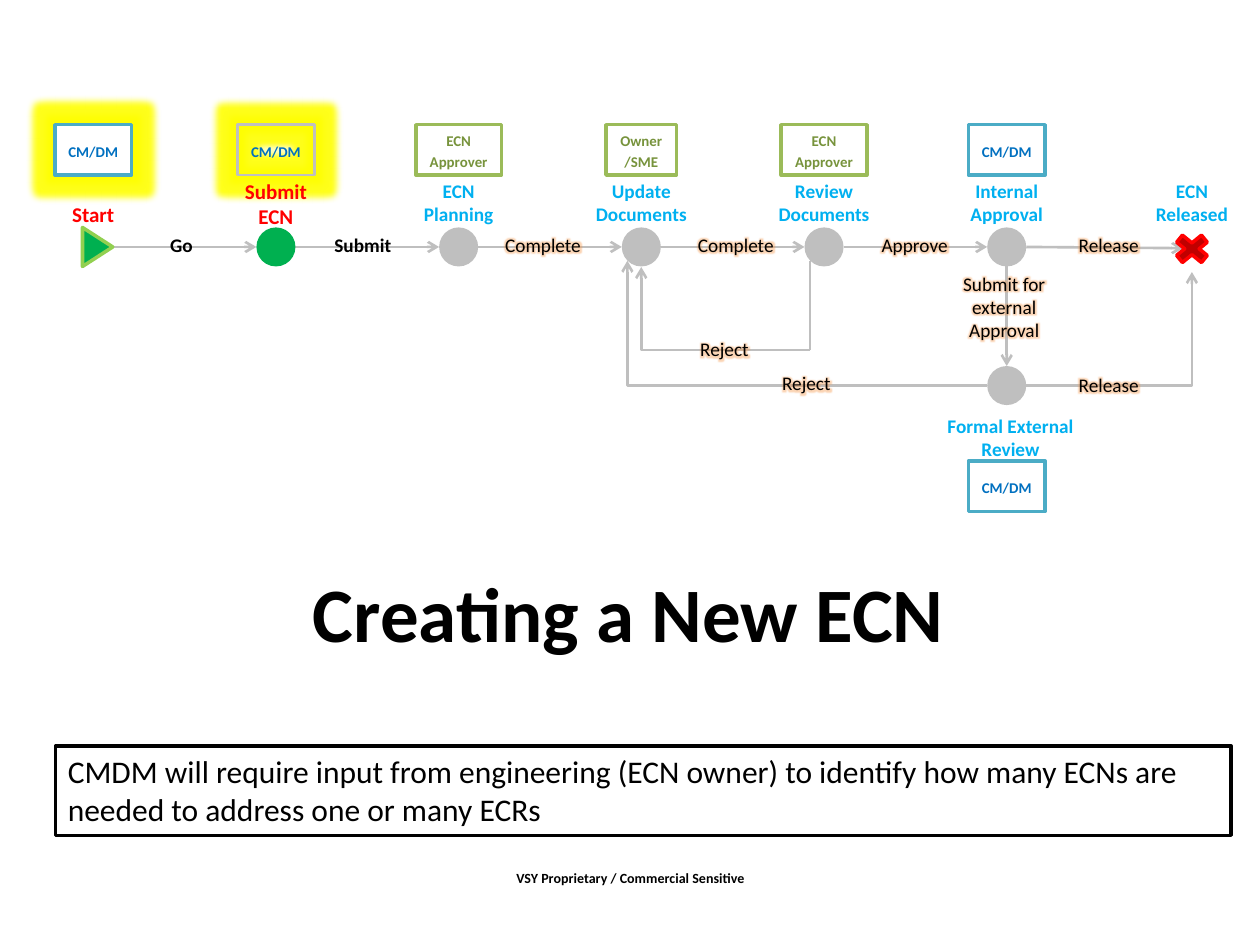
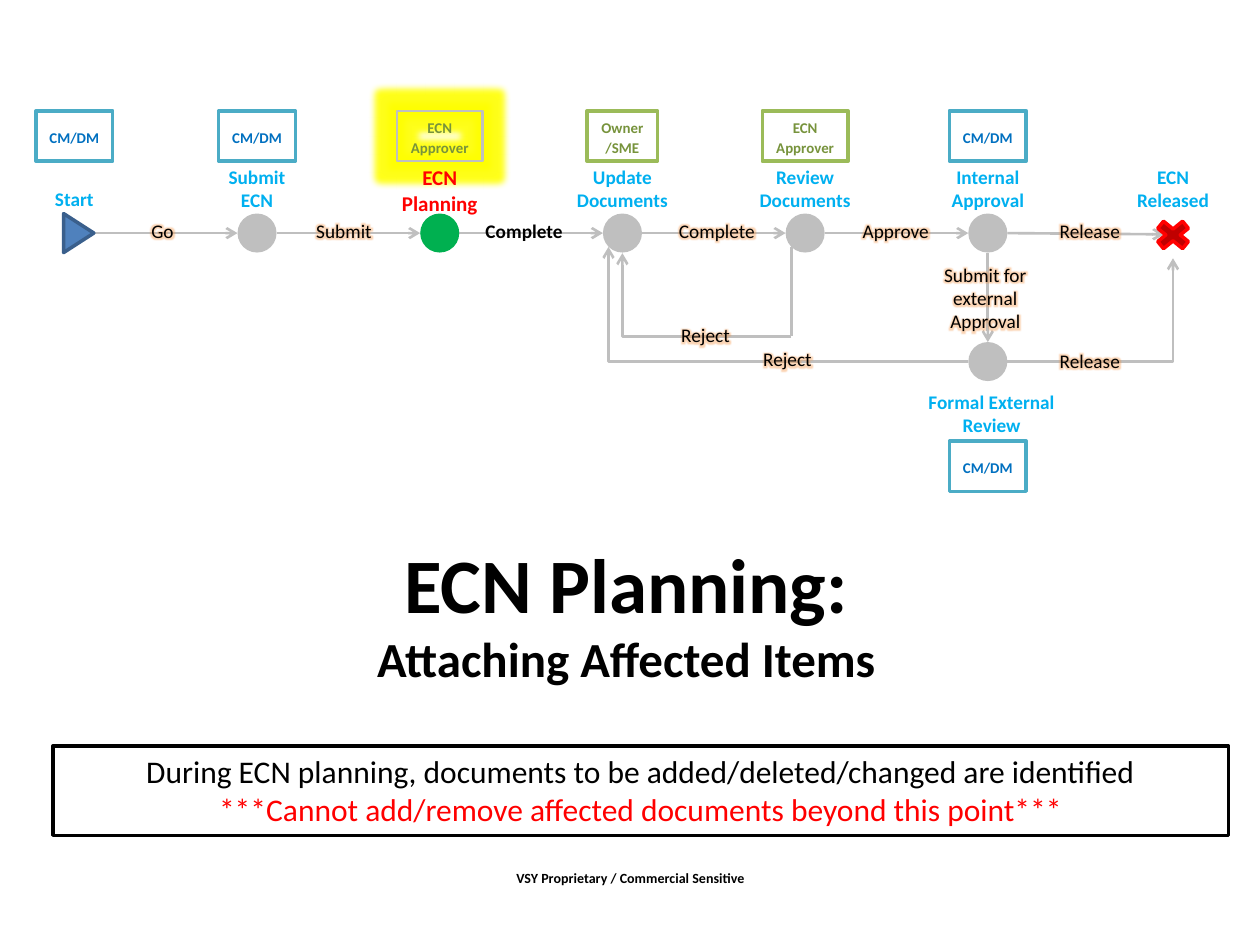
from dataclasses import dataclass
from typing import Optional

from lxml.etree import SubElement
from pptx import Presentation
from pptx.dml.color import RGBColor
from pptx.enum.shapes import MSO_CONNECTOR as Connector, MSO_SHAPE as Shape
from pptx.enum.text import MSO_ANCHOR as Anchor, PP_ALIGN as Align
from pptx.oxml.ns import qn
from pptx.util import Inches, Pt

BLACK = RGBColor(0x00, 0x00, 0x00)
WHITE = RGBColor(0xFF, 0xFF, 0xFF)
GRAY = RGBColor(0xBF, 0xBF, 0xBF)
RED = RGBColor(0xFF, 0x00, 0x00)
DARK_RED = RGBColor(0xC0, 0x00, 0x00)
SKY = RGBColor(0x00, 0xB0, 0xF0)
BLUE = RGBColor(0x00, 0x70, 0xC0)
TEAL = RGBColor(0x4B, 0xAC, 0xC6)
STEEL = RGBColor(0x4F, 0x81, 0xBD)
DARK_STEEL = RGBColor(0x3A, 0x5F, 0x8C)
GREEN = RGBColor(0x00, 0xB0, 0x50)
LIME = RGBColor(0x92, 0xD0, 0x50)
OLIVE = RGBColor(0x9B, 0xBB, 0x59)
DARK_OLIVE = RGBColor(0x77, 0x93, 0x3C)
ORANGE = RGBColor(0xF7, 0x96, 0x46)
YELLOW = RGBColor(0xFF, 0xFF, 0x00)

FONT = "Calibri"
FOOTER = "VSY Proprietary / Commercial Sensitive"
STEP = 1.45
RADIUS = 0.155
RELEASED_X = 8.72


@dataclass(frozen=True)
class Line:
    text: str
    size: float
    color: RGBColor = BLACK
    bold: bool = False
    glow: bool = False


@dataclass(frozen=True)
class Role:
    text: str
    width: float
    border: RGBColor
    color: RGBColor


@dataclass(frozen=True)
class Stage:
    name: str
    width: float
    role: Role
    label_top: float = -0.59


@dataclass(frozen=True)
class Action:
    """A step's outgoing action, with the centre of its label."""
    text: str
    x: float
    width: float = 0.9


@dataclass(frozen=True)
class Flow:
    """Where the process starts, its two rows and the active stages."""
    left: float
    axis: float
    lower: float
    external_top: float
    external_role_top: float
    active: tuple[int, ...]


@dataclass(frozen=True)
class Page:
    flow: Flow
    title_left: float
    title: tuple[Line, ...]
    note_left: float
    note: tuple[Line, ...]
    note_align: Align


CM = Role("CM/DM", 0.61, TEAL, BLUE)
APPROVER = Role("ECN Approver", 0.68, OLIVE, DARK_OLIVE)
OWNER = Role("Owner/SME", 0.56, OLIVE, DARK_OLIVE)

STAGES = (
    Stage("Start", 1.18, CM, label_top=-0.41),
    Stage("Submit ECN", 0.93, CM),
    Stage("ECN Planning", 0.99, APPROVER),
    Stage("Update Documents", 1.18, OWNER),
    Stage("Review Documents", 1.01, APPROVER),
    Stage("Internal Approval", 1.01, CM),
)
UPDATE_X, REVIEW_X, INTERNAL_X = (STEP * index for index in (3, 4, 5))

ACTIONS = (
    Action("Go", 0.7, 0.55),
    Action("Submit", 2.14, 0.69),
    Action("Complete", 3.57, 0.83),
    Action("Complete", 5.1, 0.84),
    Action("Approve", 6.52),
    Action("Release", 8.06),
)

PAGES = (
    Page(Flow(0.74, 1.96, 3.06, 2.11, 3.66, (0, 1)),
         0.21, (Line("Creating a New ECN", 44, bold=True),),
         0.44, (Line("CMDM will require input from engineering (ECN owner) to identify "
                     "how many ECNs are needed to address one or many ECRs", 18),),
         Align.LEFT),
    Page(Flow(0.59, 1.85, 2.87, 2.04, 3.5, (2,)),
         0.19, (Line("ECN Planning:", 44, bold=True),
                Line("Attaching Affected Items", 28, bold=True)),
         0.42, (Line("During ECN planning, documents to be added/deleted/changed "
                     "are identified", 18),
                Line("***Cannot add/remove affected documents beyond this point***",
                     18, RED)),
         Align.CENTER),
)


def add_glow(effects, color: RGBColor, radius: float, alpha: int) -> None:
    glow = SubElement(effects, qn("a:glow"), rad=str(Pt(radius)))
    tint = SubElement(glow, qn("a:srgbClr"), val=str(color))
    SubElement(tint, qn("a:alpha"), val=str(alpha * 1000))


def write(frame, lines: tuple[Line, ...], align=Align.CENTER, anchor=Anchor.TOP,
          **spacing) -> None:
    frame.word_wrap = True
    frame.vertical_anchor = anchor
    for index, line in enumerate(lines):
        paragraph = frame.add_paragraph() if index else frame.paragraphs[0]
        for key, value in {"alignment": align, **spacing}.items():
            setattr(paragraph, key, value)
        run = paragraph.add_run()
        run.text = line.text
        run.font.color.rgb = line.color
        if line.glow:
            effects = SubElement(run.font._element, qn("a:effectLst"))
            add_glow(effects, ORANGE, 5, 40)
        style = {"name": FONT, "size": Pt(line.size), "bold": line.bold}
        for key, value in style.items():
            setattr(run.font, key, value)


def add_text(slide, left: float, top: float, width: float, height: float,
             *lines: Line, anchor=Anchor.TOP) -> None:
    box = slide.shapes.add_textbox(*map(Inches, (left, top, width, height)))
    write(box.text_frame, lines, anchor=anchor)


def add_shape(slide, kind, left: float, top: float, width: float, height: float,
              fill: Optional[RGBColor], border: Optional[RGBColor] = None,
              weight: float = 2):
    shape = slide.shapes.add_shape(kind, *map(Inches, (left, top, width, height)))
    shape.shadow.inherit = False
    for part, color in ((shape.fill, fill), (shape.line.fill, border)):
        if color is None:
            part.background()
        else:
            part.solid()
            part.fore_color.rgb = color
    if border is not None:
        shape.line.width = Pt(weight)
    return shape


class Diagram:
    """Draws the process on a slide; x is measured from the Start stage."""

    def __init__(self, slide, flow: Flow) -> None:
        self.slide = slide
        self.flow = flow

    def connect(self, x1: float, y1: float, x2: float, y2: float,
                elbow: bool = False, arrow: bool = True) -> None:
        """An elbow runs across first and then up."""
        left = self.flow.left
        link = self.slide.shapes.add_connector(
            Connector.ELBOW if elbow else Connector.STRAIGHT,
            *map(Inches, (left + x1, y1, left + x2, y2)))
        link.line.color.rgb = GRAY
        link.line.width = Pt(1.5)
        properties = link._element.spPr
        if elbow:
            properties.find(qn("a:prstGeom")).set("prst", "bentConnector2")
        if arrow:
            SubElement(properties.find(qn("a:ln")), qn("a:tailEnd"), type="arrow")
        SubElement(properties, qn("a:effectLst"))

    def label(self, x: float, top: float, width: float, line: Line,
              height: float = 0.47) -> None:
        add_text(self.slide, self.flow.left + x - width / 2, top, width, height, line)

    def action(self, text: str, x: float, top: float, width: float = 0.9,
               active: bool = False, height: float = 0.29) -> None:
        line = Line(text, 11, bold=active, glow=not active)
        self.label(x, top, width, line, height)

    def node(self, x: float, y: float, color: RGBColor = GRAY) -> None:
        add_shape(self.slide, Shape.OVAL, self.flow.left + x - RADIUS, y - RADIUS,
                  2 * RADIUS, 2 * RADIUS, color)

    def start(self, active: bool) -> None:
        fill, border = (GREEN, LIME) if active else (STEEL, DARK_STEEL)
        marker = add_shape(self.slide, Shape.ISOSCELES_TRIANGLE,
                           self.flow.left - 0.12, self.flow.axis - 0.12,
                           0.31, 0.24, fill, border)
        marker.rotation = 90

    def role(self, role: Role, x: float, top: float, active: bool = False,
             hollow: bool = False) -> None:
        fill, border, weight = (None, GRAY, 1.5) if hollow else (WHITE, role.border, 2)
        box = add_shape(self.slide, Shape.RECTANGLE,
                        self.flow.left + x - role.width / 2, top,
                        role.width, 0.4, fill, border, weight)
        if active:
            add_glow(box._element.spPr.find(qn("a:effectLst")), YELLOW, 8, 90)
        write(box.text_frame, (Line(role.text, 8.5, role.color, True),),
              anchor=Anchor.MIDDLE, line_spacing=1.15, space_after=Pt(10))

    def stage(self, index: int, stage: Stage) -> None:
        """The label follows the role box, so that a glow stays behind it."""
        x, axis = index * STEP, self.flow.axis
        active = index in self.flow.active
        style = (12, RED, True) if active else (11, SKY, True)
        self.role(stage.role, x, axis - 0.97, active, active and index > 0)
        self.label(x, axis + stage.label_top, stage.width, Line(stage.name, *style))
        if index:
            self.node(x, axis, GREEN if active else GRAY)
        else:
            self.start(active)

    def links(self) -> None:
        axis, lower = self.flow.axis, self.flow.lower
        for index in range(len(STAGES) - 1):
            self.connect(index * STEP + RADIUS, axis, (index + 1) * STEP - RADIUS, axis)
        self.connect(INTERNAL_X + RADIUS, axis, RELEASED_X - 0.07, axis + 0.01)
        self.connect(INTERNAL_X, axis + RADIUS, INTERNAL_X, lower - RADIUS)
        self.connect(INTERNAL_X - RADIUS, lower, UPDATE_X - 0.11, axis + 0.11, elbow=True)
        self.connect(INTERNAL_X + RADIUS, lower, RELEASED_X, axis + 0.2, elbow=True)
        reject_x, reject_y = REVIEW_X - 0.11, axis + 0.82
        self.connect(reject_x, axis + 0.11, reject_x, reject_y, arrow=False)
        self.connect(reject_x, reject_y, UPDATE_X, axis + 0.16, elbow=True)

    def draw(self) -> None:
        flow = self.flow
        axis, lower = flow.axis, flow.lower
        self.links()
        for index, stage in enumerate(STAGES):
            self.stage(index, stage)
        for index, action in enumerate(ACTIONS):
            self.action(action.text, action.x, axis - 0.16, action.width,
                        index in flow.active)
        self.label(RELEASED_X, axis - 0.59, 0.98, Line("ECN Released", 11, SKY, True))
        add_shape(self.slide, Shape.MATH_MULTIPLY, flow.left + RELEASED_X - 0.19,
                  axis - 0.14, 0.38, 0.31, DARK_RED, RED)
        self.node(INTERNAL_X, lower)
        self.label(7.28, lower + 0.18, 1.52, Line("Formal External Review", 11, SKY, True))
        self.role(CM, INTERNAL_X, flow.external_role_top)
        self.action("Submit for external Approval", 7.23, flow.external_top, 0.95,
                    height=0.66)
        self.action("Reject", 5.01, axis + 0.67)
        self.action("Reject", 5.66, lower - 0.16)
        self.action("Release", 8.06, lower - 0.15)


def build_page(slide, page: Page) -> None:
    add_text(slide, 3.42, 6.85, 3.17, 0.27, Line(FOOTER, 8, bold=True))
    add_text(slide, page.title_left, 4.58, 9.56, 0.55, *page.title, anchor=Anchor.MIDDLE)
    Diagram(slide, page.flow).draw()
    note = add_shape(slide, Shape.RECTANGLE, page.note_left, 5.92, 9.33, 0.71,
                     WHITE, BLACK)
    write(note.text_frame, page.note, page.note_align)


def main() -> None:
    deck = Presentation()
    deck.slide_width, deck.slide_height = Inches(10), Inches(7.5)
    for page in PAGES:
        build_page(deck.slides.add_slide(deck.slide_layouts[6]), page)
    deck.save("out.pptx")


if __name__ == "__main__":
    main()
